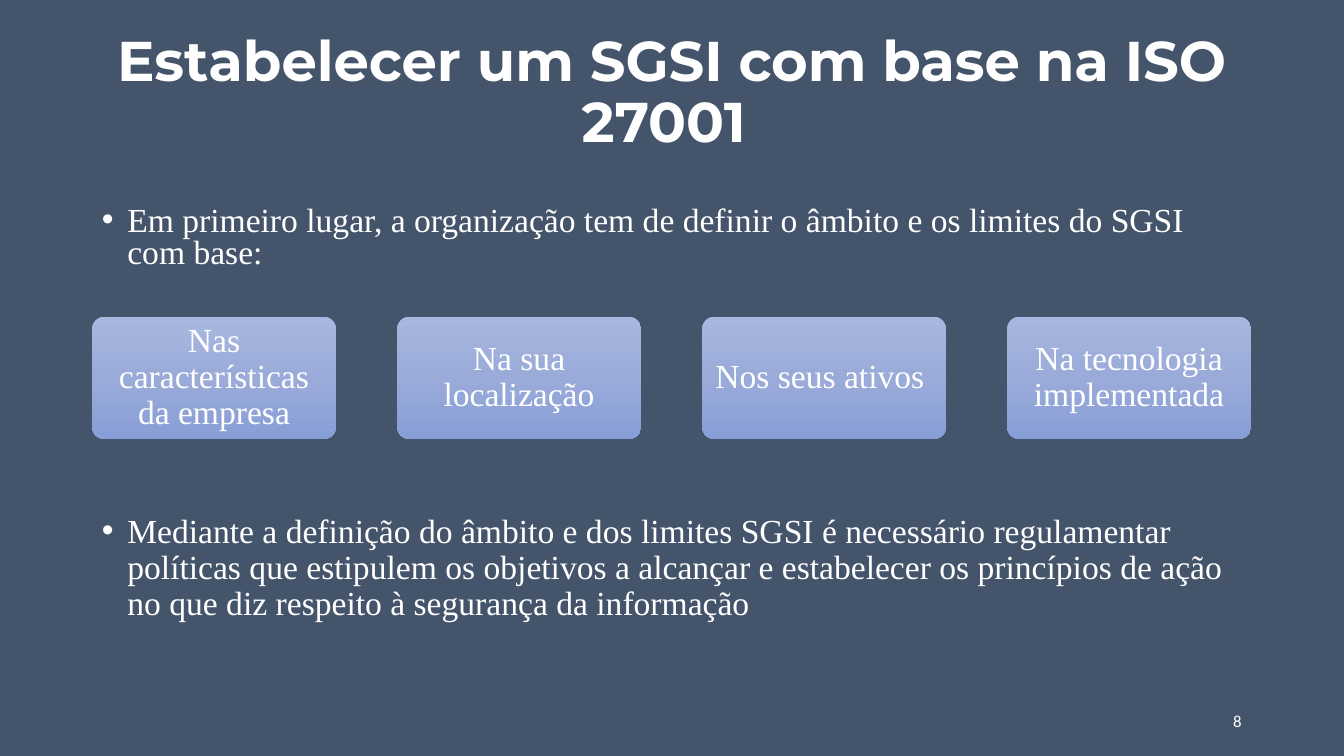
from copy import deepcopy
from dataclasses import dataclass

from pptx import Presentation
from pptx.dml.color import RGBColor
from pptx.enum.shapes import MSO_SHAPE
from pptx.enum.text import MSO_ANCHOR, PP_ALIGN
from pptx.oxml.ns import qn
from pptx.oxml.xmlchemy import OxmlElement
from pptx.util import Cm, Pt


@dataclass(frozen=True)
class Theme:
    background: RGBColor = RGBColor(0x44, 0x54, 0x6A)
    text: RGBColor = RGBColor(0xFF, 0xFF, 0xFF)
    card_stops: tuple = ("A8B7DF", "9AABD9", "889ED7")
    title_font: str = "Montserrat"
    body_font: str = "Times New Roman"
    number_font: str = "Calibri"
    title_size: int = 40
    body_size: int = 24
    number_size: int = 12


THEME = Theme()
MARGIN = 2.32
CONTENT_WIDTH = 29.21
CARD_TOP, CARD_WIDTH, CARD_HEIGHT = 7.98, 6.15, 3.08

INTRO = ("Em primeiro lugar, a organização tem de definir o âmbito "
         "e os limites do SGSI com base:")
SCOPE_BASES = (
    "Nas características da empresa",
    "Na sua localização",
    "Nos seus ativos ",
    "Na tecnologia implementada",
)
POLICIES = ("Mediante a definição do âmbito e dos limites SGSI é necessário "
            "regulamentar políticas que estipulem os objetivos a alcançar e "
            "estabelecer os princípios de ação no que diz respeito à "
            "segurança da informação")


def write(p, text, font, size, bold=False):
    r = p.add_run()
    r.text = text
    r.font.name = font
    r.font.size = Pt(size)
    r.font.bold = bold
    r.font.color.rgb = THEME.text


def add_text(s, left, top, width, height, anchor=MSO_ANCHOR.TOP):
    """Add a wrapping text box and return its first paragraph."""
    sp = s.shapes.add_textbox(Cm(left), Cm(top), Cm(width), Cm(height))
    tf = sp.text_frame
    tf.word_wrap = True
    tf.vertical_anchor = anchor
    return tf.paragraphs[0]


def add_title(s, text):
    p = add_text(s, MARGIN, 0.53, CONTENT_WIDTH, 3.68, MSO_ANCHOR.MIDDLE)
    p.alignment = PP_ALIGN.CENTER
    p.line_spacing = 0.9
    write(p, text, THEME.title_font, THEME.title_size, bold=True)


def add_bullet(s, text, top, height, line_spacing):
    p = add_text(s, MARGIN, top, CONTENT_WIDTH, height)
    p.line_spacing = line_spacing
    pPr = p._p.get_or_add_pPr()
    pPr.set("marL", str(Cm(0.64)))
    pPr.set("indent", str(-Cm(0.64)))
    for tag, name, value in (("a:buFont", "typeface", "Arial"),
                             ("a:buChar", "char", "•")):
        bullet = OxmlElement(tag)
        bullet.set(name, value)
        pPr.append(bullet)
    write(p, text, THEME.body_font, THEME.body_size)


def fill_gradient(sp):
    """Shade the shape from top to bottom with three stops."""
    fill = sp.fill
    fill.gradient()
    fill.gradient_angle = 270
    first = sp._element.spPr.find(".//" + qn("a:gs"))
    middle = deepcopy(first)
    middle.set("pos", "50000")
    first.addnext(middle)
    for stop, color in zip(fill.gradient_stops, THEME.card_stops):
        stop.color.rgb = RGBColor.from_string(color)


def add_card(s, text, left):
    sp = s.shapes.add_shape(MSO_SHAPE.ROUNDED_RECTANGLE, Cm(left),
                            Cm(CARD_TOP), Cm(CARD_WIDTH), Cm(CARD_HEIGHT))
    sp.adjustments[0] = 0.1
    sp.shadow.inherit = False
    sp.line.fill.background()
    fill_gradient(sp)
    tf = sp.text_frame
    tf.word_wrap = True
    tf.vertical_anchor = MSO_ANCHOR.MIDDLE
    tf.margin_left = tf.margin_right = Cm(0.23)
    tf.margin_top = tf.margin_bottom = Cm(0.18)
    p = tf.paragraphs[0]
    p.alignment = PP_ALIGN.CENTER
    p.line_spacing = 0.9
    write(p, text, THEME.body_font, THEME.body_size)


def add_cards(s, texts):
    pitch = (CONTENT_WIDTH - CARD_WIDTH) / (len(texts) - 1)
    for i, text in enumerate(texts):
        add_card(s, text, MARGIN + i * pitch)


def add_slide_number(s, number):
    p = add_text(s, 23.92, 17.65, 7.62, 1.02, MSO_ANCHOR.MIDDLE)
    p.alignment = PP_ALIGN.RIGHT
    write(p, number, THEME.number_font, THEME.number_size)


def main():
    prs = Presentation()
    prs.slide_width, prs.slide_height = Cm(33.87), Cm(19.05)
    s = prs.slides.add_slide(prs.slide_layouts[6])
    s.background.fill.solid()
    s.background.fill.fore_color.rgb = THEME.background

    # Heading and introduction
    add_title(s, "Estabelecer um SGSI com base na ISO 27001 ")
    add_bullet(s, INTRO, top=5.08, height=2.08, line_spacing=0.8)

    # Bases for the scope
    add_cards(s, SCOPE_BASES)

    # Conclusion and page number
    add_bullet(s, POLICIES, top=12.83, height=3.07, line_spacing=0.9)
    add_slide_number(s, "8")

    prs.save("out.pptx")


if __name__ == "__main__":
    main()
